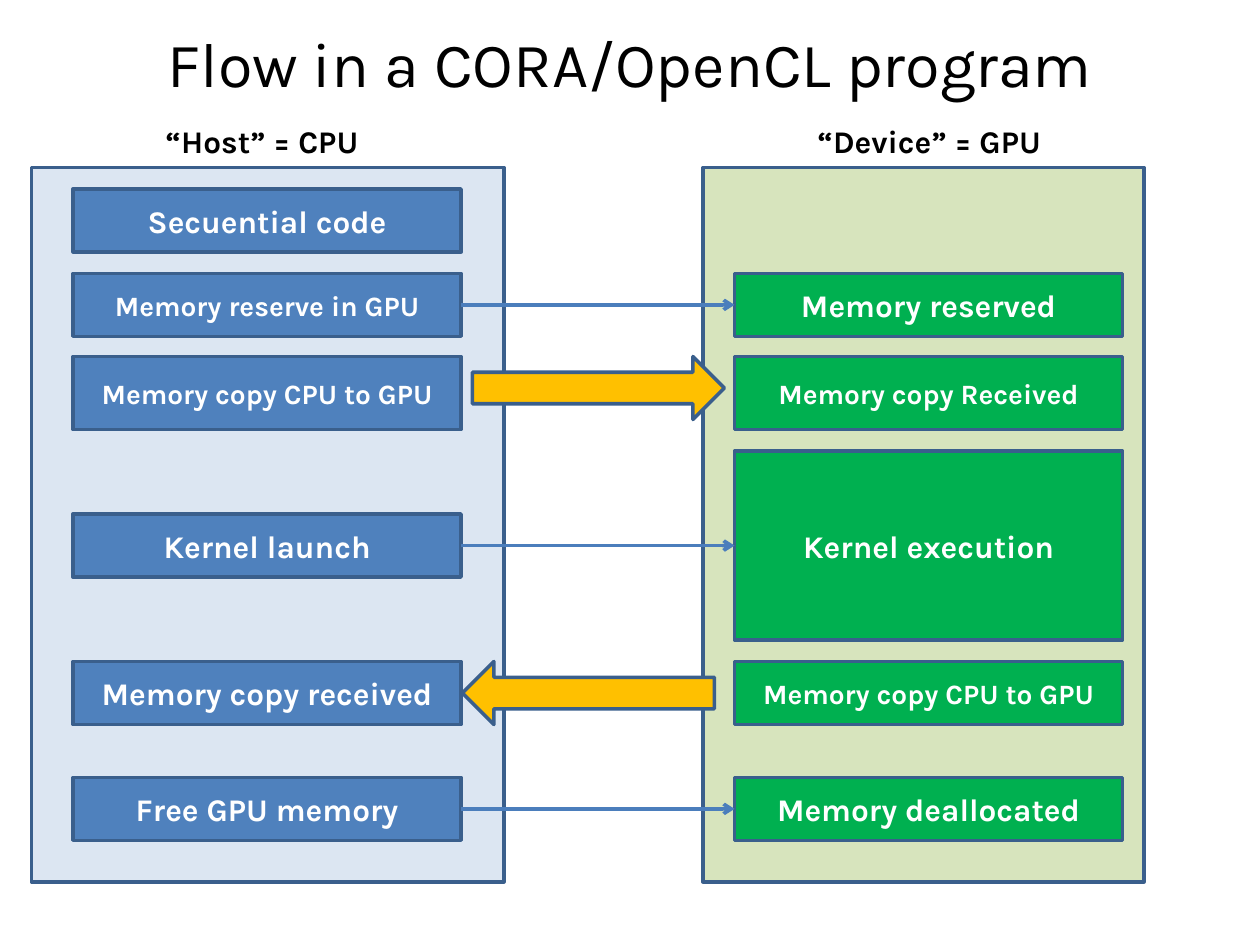
from lxml import etree
from pptx import Presentation
from pptx.dml.color import RGBColor
from pptx.enum.shapes import MSO_CONNECTOR, MSO_SHAPE
from pptx.enum.text import MSO_ANCHOR, PP_ALIGN
from pptx.oxml.ns import qn
from pptx.util import Inches, Pt

OUTLINE, LINK = "3A5F8C", "4B7EBC"
HOST, DEVICE, TRANSFER = "4F81BD", "00B050", "FFC000"
HOST_PANEL, DEVICE_PANEL = "DCE6F2", "D7E4BD"
BLACK, WHITE = "000000", "FFFFFF"
RIGHT_SIDE, LEFT_SIDE = 3, 1

# Steps: text, top, height, font size
HOST_STEPS = [
    ("Secuential code", 1.5, 0.5, 18),
    ("Memory reserve in GPU", 2.17, 0.5, 16),
    ("Memory copy CPU to GPU", 2.83, 0.58, 16),
    ("Kernel launch", 4.08, 0.5, 18),
    ("Memory copy received", 5.25, 0.5, 18),
    ("Free GPU memory", 6.17, 0.5, 18),
]
DEVICE_STEPS = [
    ("Memory reserved", 2.17, 0.5, 18),
    ("Memory copy Received", 2.83, 0.58, 16),
    ("Kernel execution", 3.58, 1.5, 18),
    ("Memory copy CPU to GPU", 5.25, 0.5, 16),
    ("Memory deallocated", 6.17, 0.5, 18),
]
# Pairs of host and device step numbers joined by a thin arrow
CALLS = [(1, 0), (3, 2), (5, 4)]


def color(value):
    return RGBColor.from_string(value)


def write(frame, text, size, ink, bold=None, anchor=MSO_ANCHOR.MIDDLE):
    frame.word_wrap = True
    frame.vertical_anchor = anchor
    para = frame.paragraphs[0]
    para.alignment = PP_ALIGN.CENTER
    span = para.add_run()
    span.text = text
    styles = {"name": "Karla", "size": Pt(size), "bold": bold}
    for name, value in styles.items():
        setattr(span.font, name, value)
    span.font.color.rgb = color(ink)


def add_block(page, kind, box, fill):
    shape = page.shapes.add_shape(kind, *map(Inches, box))
    shape.shadow.inherit = False
    shape.fill.solid()
    shape.fill.fore_color.rgb = color(fill)
    shape.line.color.rgb = color(OUTLINE)
    shape.line.width = Pt(2)
    return shape


def place_title(page, box):
    title = page.shapes.title
    sides = ("left", "top", "width", "height")
    for side, value in zip(sides, box):
        setattr(title, side, Inches(value))
    write(title.text_frame, "Flow in a CORA/OpenCL program", 36, BLACK)


def add_heading(page, box, text):
    heading = page.shapes.add_textbox(*map(Inches, box))
    write(heading.text_frame, text, 18, BLACK, True, MSO_ANCHOR.TOP)


def add_column(page, box, panel_fill, step_left, step_fill, steps):
    """Draw a panel with its steps and return the step shapes."""
    add_block(page, MSO_SHAPE.RECTANGLE, box, panel_fill)
    shapes = []
    for text, top, height, size in steps:
        step_box = (step_left, top, 3.08, height)
        step = add_block(page, MSO_SHAPE.RECTANGLE, step_box, step_fill)
        write(step.text_frame, text, size, WHITE, True)
        shapes.append(step)
    return shapes


def add_call(page, host_step, device_step):
    link = page.shapes.add_connector(MSO_CONNECTOR.STRAIGHT, 0, 0, 0, 0)
    link.begin_connect(host_step, RIGHT_SIDE)
    link.end_connect(device_step, LEFT_SIDE)
    link.line.color.rgb = color(LINK)
    link.line.width = Pt(2)
    outline = link._element.spPr.find(qn("a:ln"))
    etree.SubElement(outline, qn("a:tailEnd"), type="arrow")
    etree.SubElement(link._element.spPr, qn("a:effectLst"))


def add_transfer(page, box, rotation=0):
    arrow = add_block(page, MSO_SHAPE.RIGHT_ARROW, box, TRANSFER)
    arrow.rotation = rotation


def main():
    deck = Presentation()
    deck.slide_width, deck.slide_height = Inches(10), Inches(7.5)
    page = deck.slides.add_slide(deck.slide_layouts[5])
    place_title(page, (0.5, 0.08, 9, 0.83))

    # Host and device columns
    host = add_column(page, (0.25, 1.33, 3.75, 5.67), HOST_PANEL,
                      0.58, HOST, HOST_STEPS)
    device = add_column(page, (5.58, 1.33, 3.5, 5.67), DEVICE_PANEL,
                        5.83, DEVICE, DEVICE_STEPS)
    add_heading(page, (0.83, 0.92, 2.5, 0.4), "“Host” = CPU")
    add_heading(page, (6, 0.92, 2.75, 0.4), "“Device” = GPU")

    # Calls and data transfers between them
    for host_number, device_number in CALLS:
        add_call(page, host[host_number], device[device_number])
    add_transfer(page, (3.75, 2.83, 2, 0.5))
    add_transfer(page, (3.67, 5.25, 2, 0.5), rotation=180)

    deck.save("out.pptx")


if __name__ == "__main__":
    main()
